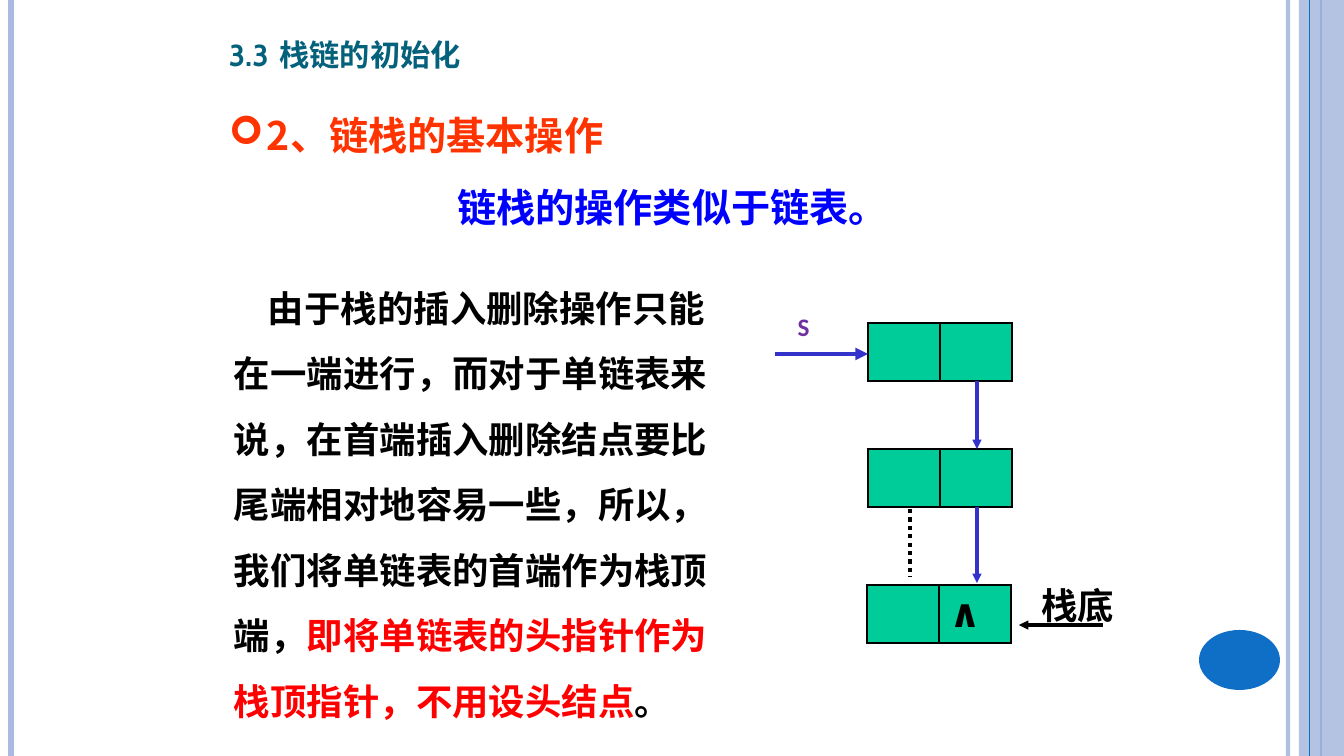
import pptx
import pptx.util
import pptx.dml.color
import pptx.enum.dml
import pptx.enum.shapes
import pptx.enum.text
import pptx.oxml
import pptx.oxml.ns

THEME = {
    "colors": {
        "rail": "ABBBDF", "accent": "0F6FC6", "title": "04617B",
        "heading": "FF3300", "lead": "0000FF", "ink": "000000",
        "alert": "FF0000", "node": "00CC99", "pointer": "3333CC",
        "label": "7030A0",
    },
    "sizes": {"title": 27, "heading": 28, "body": 26, "label": 18},
    "fonts": {"title": "Cabin", "label": "Calibri", "cjk": "Noto Sans CJK SC"},
}
PAGE = (1344, 756)
EMU_PER_PX = 914400 / 100.8

RAILS = [
    (1288, "rail", 3, 93),
    (11, "rail", 4.5, 100),
    (1321, "accent", 1.5, 100),
]
BAND = (1299, 0, 45, 756)
BAND_LINE = (1310, "accent", 0.75, 100)
DISC = (1199, 630, 81, 60)

NODES = [(868, 323, ""), (868, 449, ""), (867, 585, "∧")]
CELL_WIDTH, CELL_HEIGHT = 72, 58
THICK, THIN = 2.25, 1

LINKS = [
    ((910, 509), (910, 577), {"color": "ink", "weight": 3, "dotted": True}),
    ((977, 381), (977, 449), {"color": "pointer", "weight": 2.25, "arrow": True}),
    ((977, 507), (977, 583), {"color": "pointer", "weight": 2.25, "arrow": True}),
    ((775, 354), (868, 354), {"color": "pointer", "weight": 3, "arrow": True}),
    ((1103, 625), (1019, 625), {"color": "ink", "weight": 2.25, "arrow": True}),
]

TEXTS = [
    ((219, 97, 974, 151), [("2、链栈的基本操作", "heading")],
     {"size": "heading", "spacing": 1.2, "bullet": "➢", "margin": 38, "indent": -38}),
    ((756, 306, 95, 40), [("S", "label")],
     {"size": "label", "font": "label", "centered": True}),
    ((1011, 578, 134, 54), [("栈底", "ink")],
     {"size": "body", "font": "label", "centered": True}),
    ((242, 178, 887, 57), [("链栈的操作类似于链表。", "lead")],
     {"size": "heading", "centered": True, "right_inset": 36}),
    ((224, 259, 504, 473), [
        ("由于栈的插入删除操作只能在一端进行，而对于单链表来说，在首端插入删除结点要比"
         "尾端相对地容易一些，所以，我们将单链表的首端作为栈顶端，", "ink"),
        ("即将单链表的头指针作为栈顶指针，不用设头结点", "alert"),
        ("。", "ink"),
    ], {"size": "body", "spacing": 1.5, "indent": 34}),
    ((219, 18, 824, 61), [("3.3\t栈链的初始化", "title")],
     {"size": "title", "font": "title", "bottom": True, "small_caps": True, "tab": 62}),
]


def px(length):
    return pptx.util.Emu(round(length * EMU_PER_PX))


def rgb(name):
    return pptx.dml.color.RGBColor.from_string(THEME["colors"][name])


def add_xml(parent, tag, **attributes):
    child = parent.makeelement(pptx.oxml.ns.qn(tag), attributes)
    parent.append(child)
    return child


def set_alpha(properties, percent):
    color = next(properties.iter(pptx.oxml.ns.qn("a:srgbClr")))
    add_xml(color, "a:alpha", val=str(percent * 1000))


def write(frame, runs, *, size, font="cjk", spacing=None, centered=False, bottom=False,
          right_inset=10, bullet=None, margin=0, indent=0, tab=None, small_caps=False):
    frame.word_wrap = True
    frame.margin_left, frame.margin_right = px(10), px(right_inset)
    frame.margin_top = frame.margin_bottom = px(5)
    anchors = pptx.enum.text.MSO_ANCHOR
    frame.vertical_anchor = anchors.BOTTOM if bottom else anchors.TOP
    para = frame.paragraphs[0]
    if spacing:
        para.line_spacing = spacing
    if centered:
        para.alignment = pptx.enum.text.PP_ALIGN.CENTER
    layout = para._p.get_or_add_pPr()
    layout.set("marL", str(px(margin)))
    layout.set("indent", str(px(indent)))
    if bullet:
        tint = add_xml(layout, "a:buClr")
        add_xml(tint, "a:srgbClr", val=THEME["colors"][runs[0][1]])
        add_xml(layout, "a:buFont", typeface="Wingdings")
        add_xml(layout, "a:buChar", char=bullet)
    if tab:
        stops = add_xml(layout, "a:tabLst")
        add_xml(stops, "a:tab", pos=str(px(tab)), algn="l")
    for text, color in runs:
        span = para.add_run()
        span.text = text
        span.font.size = pptx.util.Pt(THEME["sizes"][size])
        span.font.bold = True
        span.font.color.rgb = rgb(color)
        span.font.name = THEME["fonts"][font]
        look = span._r.get_or_add_rPr()
        add_xml(look, "a:ea", typeface=THEME["fonts"]["cjk"])
        if small_caps:
            look.set("cap", "small")


def add_line(page, start, end, *, color, weight, alpha=100, dotted=False, arrow=False):
    line = page.shapes.add_connector(
        pptx.enum.shapes.MSO_CONNECTOR.STRAIGHT, *map(px, start + end))
    line.line.color.rgb = rgb(color)
    line.line.width = pptx.util.Pt(weight)
    if dotted:
        line.line.dash_style = pptx.enum.dml.MSO_LINE.ROUND_DOT
    properties = line._element.spPr
    if alpha < 100:
        set_alpha(properties, alpha)
    if arrow:
        add_xml(line.line._get_or_add_ln(), "a:tailEnd", type="triangle")
    add_xml(properties, "a:effectLst")


def add_rail(page, x, color, weight, alpha):
    add_line(page, (x, 0), (x, PAGE[1]), color=color, weight=weight, alpha=alpha)


def add_solid(page, kind, place, color, alpha=100):
    shape = page.shapes.add_shape(kind, *map(px, place))
    shape.shadow.inherit = False
    shape.fill.solid()
    shape.fill.fore_color.rgb = rgb(color)
    shape.line.fill.background()
    if alpha < 100:
        set_alpha(shape._element.spPr, alpha)


def set_borders(cell, weights):
    properties = cell._tc.get_or_add_tcPr()
    for order, (side, weight) in enumerate(zip("LRTB", weights)):
        edge = add_xml(properties, f"a:ln{side}", w=str(pptx.util.Pt(weight)))
        paint = add_xml(edge, "a:solidFill")
        add_xml(paint, "a:srgbClr", val=THEME["colors"]["ink"])
        properties.insert(order, edge)


def add_node(page, x, y, mark):
    frame = page.shapes.add_table(
        1, 2, px(x), px(y), px(2 * CELL_WIDTH), px(CELL_HEIGHT))
    table = frame.table
    table.first_row = table.horz_banding = False
    for column, weights in enumerate([(THICK, THIN), (THIN, THICK)]):
        cell = table.cell(0, column)
        cell.fill.solid()
        cell.fill.fore_color.rgb = rgb("node")
        set_borders(cell, weights + (THICK, THICK))
    if mark:
        write(table.cell(0, 1).text_frame, [(mark, "ink")], size="heading", font="label")


def main():
    deck = pptx.Presentation()
    deck.slide_width, deck.slide_height = map(px, PAGE)
    page = deck.slides.add_slide(deck.slide_layouts[6])
    shapes = pptx.enum.shapes.MSO_SHAPE
    for rail in RAILS:
        add_rail(page, *rail)
    add_solid(page, shapes.RECTANGLE, BAND, "rail", alpha=87)
    add_rail(page, *BAND_LINE)
    add_solid(page, shapes.OVAL, DISC, "accent")
    for node in NODES:
        add_node(page, *node)
    for start, end, style in LINKS:
        add_line(page, start, end, **style)
    for place, runs, style in TEXTS:
        box = page.shapes.add_textbox(*map(px, place))
        write(box.text_frame, runs, **style)
    deck.save("out.pptx")


if __name__ == "__main__":
    main()
